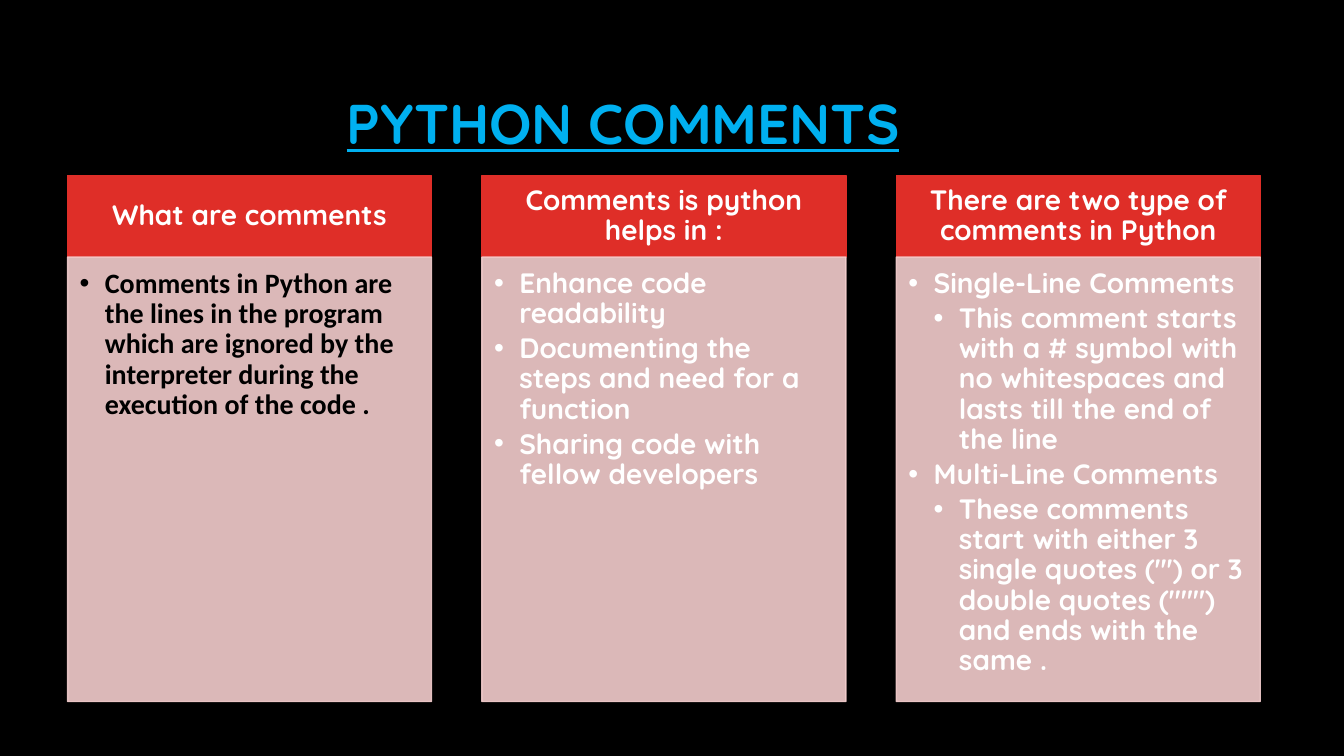
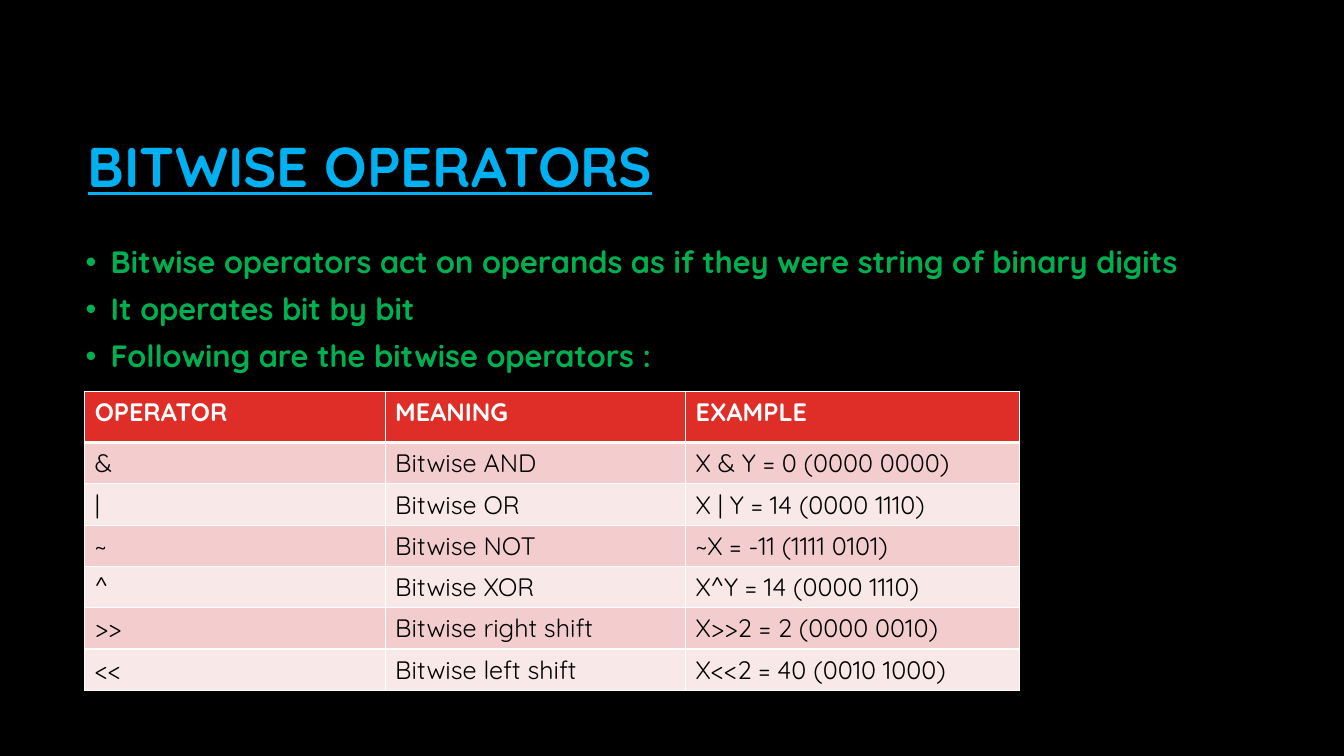
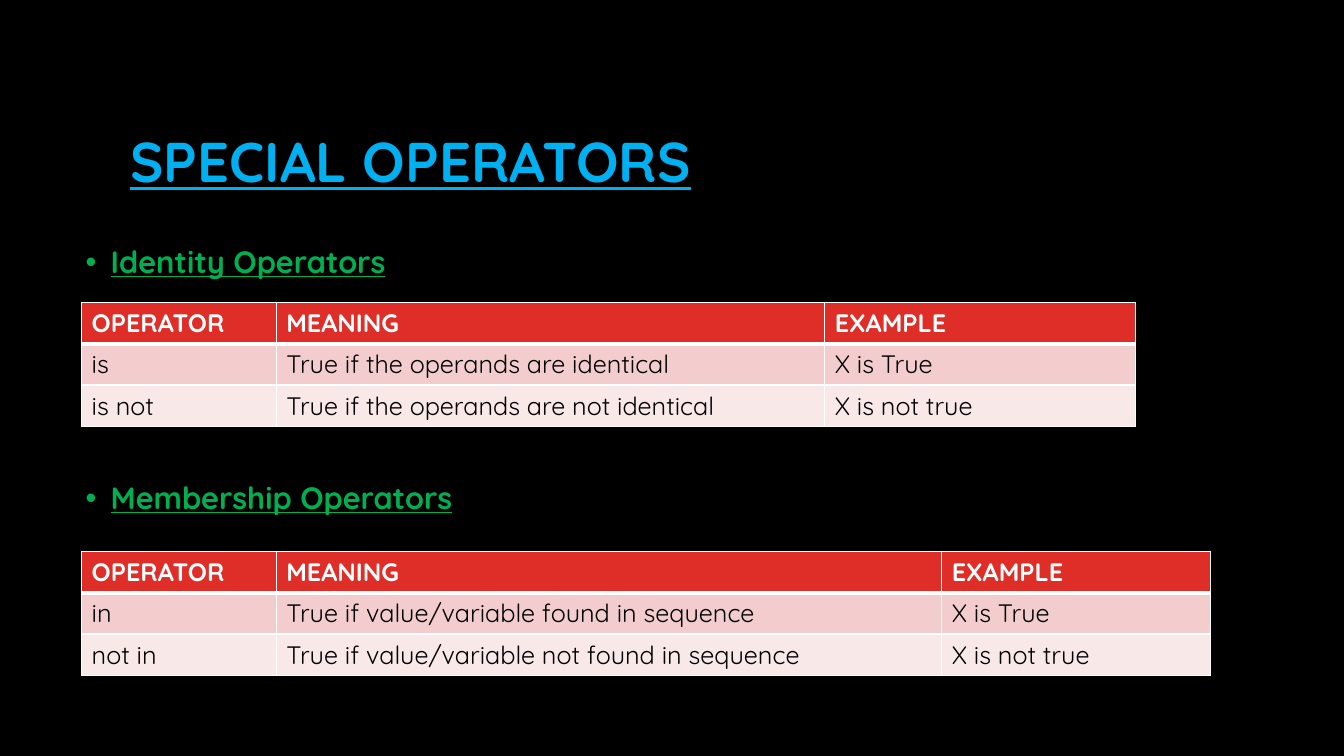
"""Build three slides on Python comments and operators."""
import lxml.etree
import pptx
import pptx.dml.color
import pptx.enum.shapes
import pptx.enum.text
import pptx.oxml
import pptx.oxml.ns
import pptx.util

Inches = pptx.util.Inches
Pt = pptx.util.Pt
RGBColor = pptx.dml.color.RGBColor
PP_ALIGN = pptx.enum.text.PP_ALIGN
MSO_ANCHOR = pptx.enum.text.MSO_ANCHOR
qn = pptx.oxml.ns.qn

BLACK = RGBColor(0x00, 0x00, 0x00)
WHITE = RGBColor(0xFF, 0xFF, 0xFF)
BLUE = RGBColor(0x00, 0xB0, 0xF0)
GREEN = RGBColor(0x00, 0xB0, 0x50)
RED = RGBColor(0xDF, 0x2E, 0x28)
PINK = RGBColor(0xF3, 0xCD, 0xCD)
PALE = RGBColor(0xF9, 0xE8, 0xE8)
FONT = "Quicksand"

COLUMN_W, COLUMN_PITCH = 3.61, 4.11
HEAD_TOP, HEAD_H, PANEL_H = 1.74, 0.81, 4.41
ROW_H = 0.41

COMMENT_COLUMNS = [
    ("What are comments", "Calibri", BLACK, [
        (0, "Comments in Python are the lines in the program which are "
            "ignored by the interpreter during the execution of the code ."),
    ]),
    ("Comments is python helps in :", FONT, WHITE, [
        (0, "Enhance code readability"),
        (0, "Documenting the steps and need for a function"),
        (0, "Sharing code with fellow developers"),
    ]),
    ("There are two type of comments in Python", FONT, WHITE, [
        (0, "Single-Line Comments"),
        (1, "This comment starts with a # symbol with no whitespaces and "
            "lasts till the end of the line"),
        (0, "Multi-Line Comments"),
        (1, "These comments start with either 3 single quotes (''') or 3 "
            'double quotes (""") and ends with the same .'),
    ]),
]

HEADINGS = ("OPERATOR", "MEANING", "EXAMPLE")
BITWISE = [
    ("&", "Bitwise AND", "X & Y = 0 (0000 0000)"),
    ("|", "Bitwise OR", "X | Y = 14 (0000 1110)"),
    ("~", "Bitwise NOT", "~X = -11 (1111 0101)"),
    ("^", "Bitwise XOR", "X^Y = 14 (0000 1110)"),
    (">>", "Bitwise right shift", "X>>2 = 2 (0000 0010)"),
    ("<<", "Bitwise left shift", "X<<2 = 40 (0010 1000)"),
]
IDENTITY = [
    ("is", "True if the operands are identical", "X is True"),
    ("is not", "True if the operands are not identical", "X is not true"),
]
MEMBERSHIP = [
    ("in", "True if value/variable found in sequence", "X is True"),
    ("not in", "True if value/variable not found in sequence", "X is not true"),
]


class Deck:
    """Hold the shared style and the current slide."""

    def __init__(self):
        self.prs = pptx.Presentation()
        self.prs.slide_width = Inches(13.33)
        self.prs.slide_height = Inches(7.5)
        self.s = None

    def slide(self, title, right, top):
        """Start a black slide whose title ends at the given right edge."""
        self.s = self.prs.slides.add_slide(self.prs.slide_layouts[6])
        self.s.background.fill.solid()
        self.s.background.fill.fore_color.rgb = BLACK
        tf = self.text_box(0, top, right, 1.41)
        tf.vertical_anchor = MSO_ANCHOR.MIDDLE
        tf.text = title
        p = tf.paragraphs[0]
        p.alignment = PP_ALIGN.RIGHT
        p.line_spacing = 0.9
        self.format(p, 40, BLUE, underline=True)

    def text_box(self, left, top, width, height):
        """Add a wrapping text box and return its text frame."""
        sp = self.s.shapes.add_textbox(
            Inches(left), Inches(top), Inches(width), Inches(height))
        sp.text_frame.word_wrap = True
        return sp.text_frame

    def format(self, p, size, color, font=FONT, bold=True, underline=None):
        """Style every run of a paragraph."""
        for r in p.runs:
            r.font.name = font
            r.font.size = Pt(size)
            r.font.bold = bold
            r.font.underline = underline
            r.font.color.rgb = color

    def bullets(self, tf, items, size, color, font=FONT, before=0, after=0,
                underline=None):
        """Fill a text frame with (level, text) bullets."""
        tf.text = "\n".join(text for level, text in items)
        for p, (level, text) in zip(tf.paragraphs, items):
            p.level = level
            p.alignment = PP_ALIGN.LEFT
            p.line_spacing = 0.9
            p.space_before = Pt(before)
            p.space_after = Pt(after)
            pPr = p._p.get_or_add_pPr()
            pPr.set("marL", str(Inches(0.25 * (level + 1))))
            pPr.set("indent", str(Inches(-0.25)))
            lxml.etree.SubElement(pPr, qn("a:buFont"), typeface="Arial")
            lxml.etree.SubElement(pPr, qn("a:buChar"), char="•")
            self.format(p, size, color, font, underline=underline)

    def body(self, top, height, items, underline=None):
        """Add green bullets across the slide."""
        tf = self.text_box(0.75, top, 11.83, height)
        self.bullets(tf, [(0, text) for text in items], 22, GREEN,
                     before=10, underline=underline)

    def rect(self, left, top, height, color, insets, alpha=None):
        """Add a column rectangle and return its text frame."""
        sp = self.s.shapes.add_shape(
            pptx.enum.shapes.MSO_SHAPE.RECTANGLE, Inches(left), Inches(top),
            Inches(COLUMN_W), Inches(height))
        sp.shadow.inherit = False
        sp.fill.solid()
        sp.fill.fore_color.rgb = color
        sp.line.color.rgb = color
        sp.line.width = Pt(1)
        if alpha:
            for clr in sp._element.spPr.iter(qn("a:srgbClr")):
                lxml.etree.SubElement(clr, qn("a:alpha"), val=str(alpha * 1000))
        tf = sp.text_frame
        tf.word_wrap = True
        (tf.margin_left, tf.margin_top,
         tf.margin_right, tf.margin_bottom) = [Inches(i) for i in insets]
        return tf

    def column(self, left, heading, font, color, items):
        """Add a red heading over a pink panel of bullets."""
        tf = self.rect(left, HEAD_TOP, HEAD_H, RED, (0.16, 0.09, 0.16, 0.09))
        tf.vertical_anchor = MSO_ANCHOR.MIDDLE
        tf.text = heading
        p = tf.paragraphs[0]
        p.alignment = PP_ALIGN.CENTER
        p.line_spacing = 0.9
        self.format(p, 20, WHITE)
        tf = self.rect(left, HEAD_TOP + HEAD_H, PANEL_H, PINK,
                       (0.12, 0.12, 0.16, 0.17), alpha=90)
        tf.vertical_anchor = MSO_ANCHOR.TOP
        self.bullets(tf, items, 20, color, font, after=3.4)

    def borders(self, cell, top, bottom):
        """Draw white borders of the given point widths on a cell."""
        tcPr = cell._tc.get_or_add_tcPr()
        for side, width in (("L", 1), ("R", 1), ("T", top), ("B", bottom)):
            ln = lxml.etree.SubElement(tcPr, qn("a:ln" + side), w=str(Pt(width)))
            fill = lxml.etree.SubElement(ln, qn("a:solidFill"))
            lxml.etree.SubElement(fill, qn("a:srgbClr"), val=str(WHITE))

    def table(self, left, top, widths, rows, head_h=ROW_H):
        """Add an operator table with a red header and banded rows."""
        heights = [head_h] + [ROW_H] * len(rows)
        table = self.s.shapes.add_table(
            len(heights), len(widths), Inches(left), Inches(top),
            Inches(sum(widths)), Inches(sum(heights))).table
        table.horz_banding = False
        for col, width in zip(table.columns, widths):
            col.width = Inches(width)
        for i, values in enumerate([HEADINGS] + rows):
            table.rows[i].height = Inches(heights[i])
            head = i == 0
            for j, value in enumerate(values):
                cell = table.cell(i, j)
                self.borders(cell, 3 if i == 1 else 1, 3 if head else 1)
                cell.fill.solid()
                cell.fill.fore_color.rgb = RED if head else (PALE, PINK)[i % 2]
                cell.text = value
                self.format(cell.text_frame.paragraphs[0], 18,
                            WHITE if head else BLACK, bold=head)


def main():
    """Build and save the presentation."""
    deck = Deck()

    deck.slide("PYTHON COMMENTS", 9.02, 0.55)
    for i, column in enumerate(COMMENT_COLUMNS):
        deck.column(0.67 + i * COLUMN_PITCH, *column)

    deck.slide("BITWISE OPERATORS", 6.57, 0.98)
    deck.body(2.4, 1.45, [
        "Bitwise operators act on operands as if they were string of binary digits",
        "It operates bit by bit",
        "Following are the bitwise operators :",
    ])
    deck.table(0.84, 3.88, (2.98, 2.98, 3.31), BITWISE, head_h=0.51)

    deck.slide("SPECIAL OPERATORS", 6.95, 0.93)
    deck.body(2.4, 0.55, ["Identity Operators"], underline=True)
    deck.table(0.81, 3, (1.93, 5.44, 3.08), IDENTITY)
    deck.body(4.74, 0.55, ["Membership Operators"], underline=True)
    deck.table(0.81, 5.47, (1.93, 6.6, 2.67), MEMBERSHIP)

    deck.prs.save("out.pptx")


if __name__ == "__main__":
    main()
